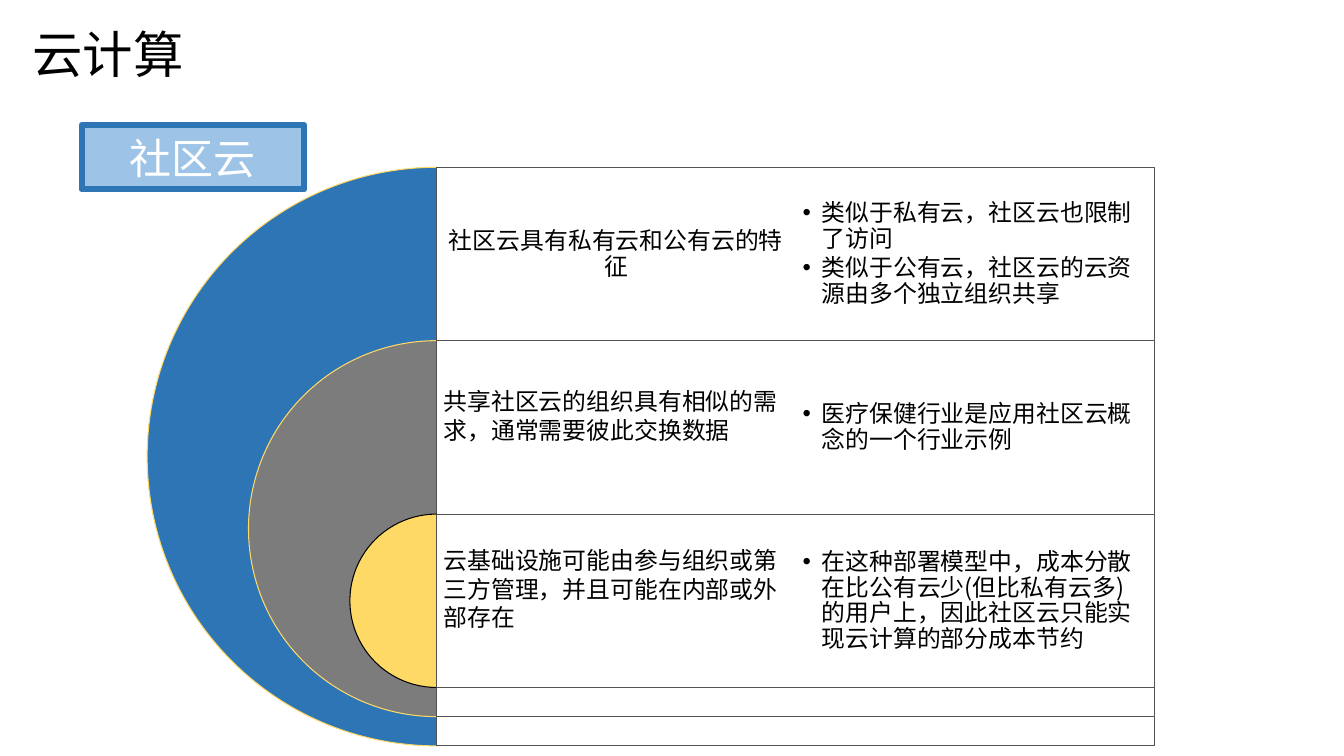
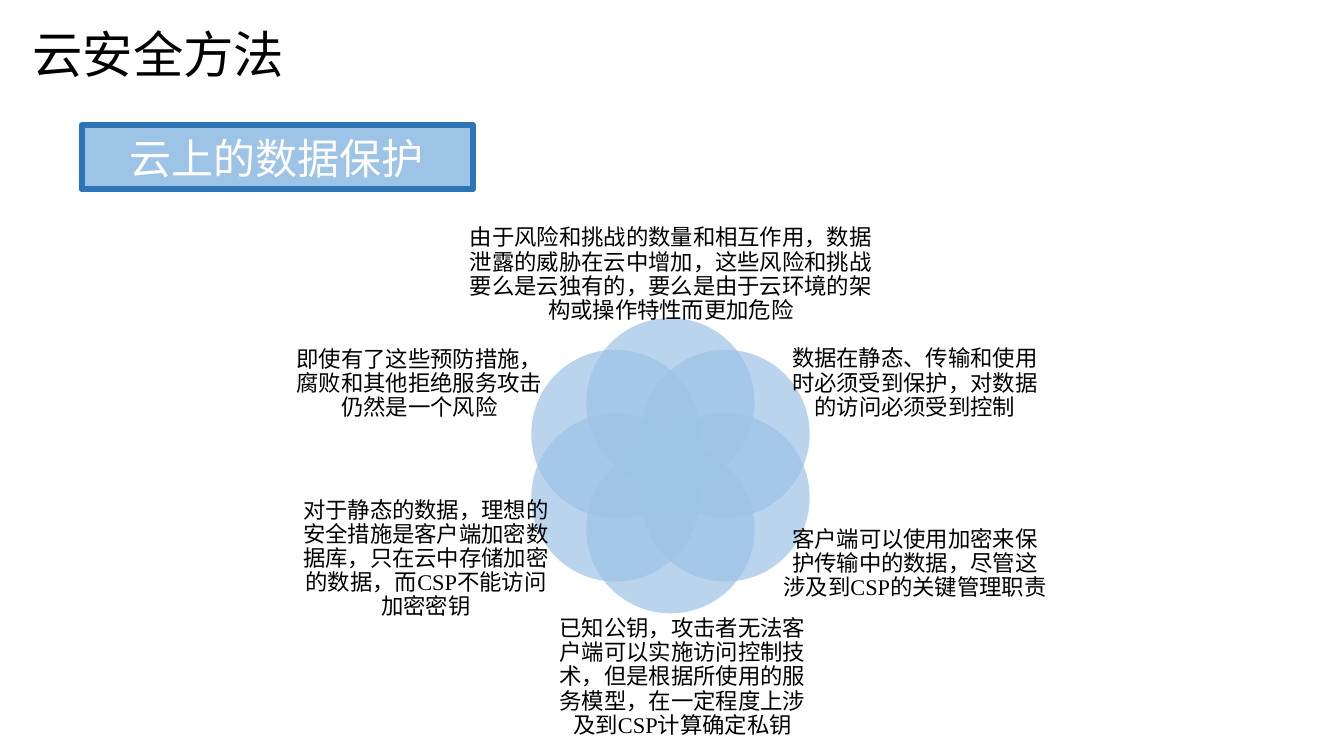
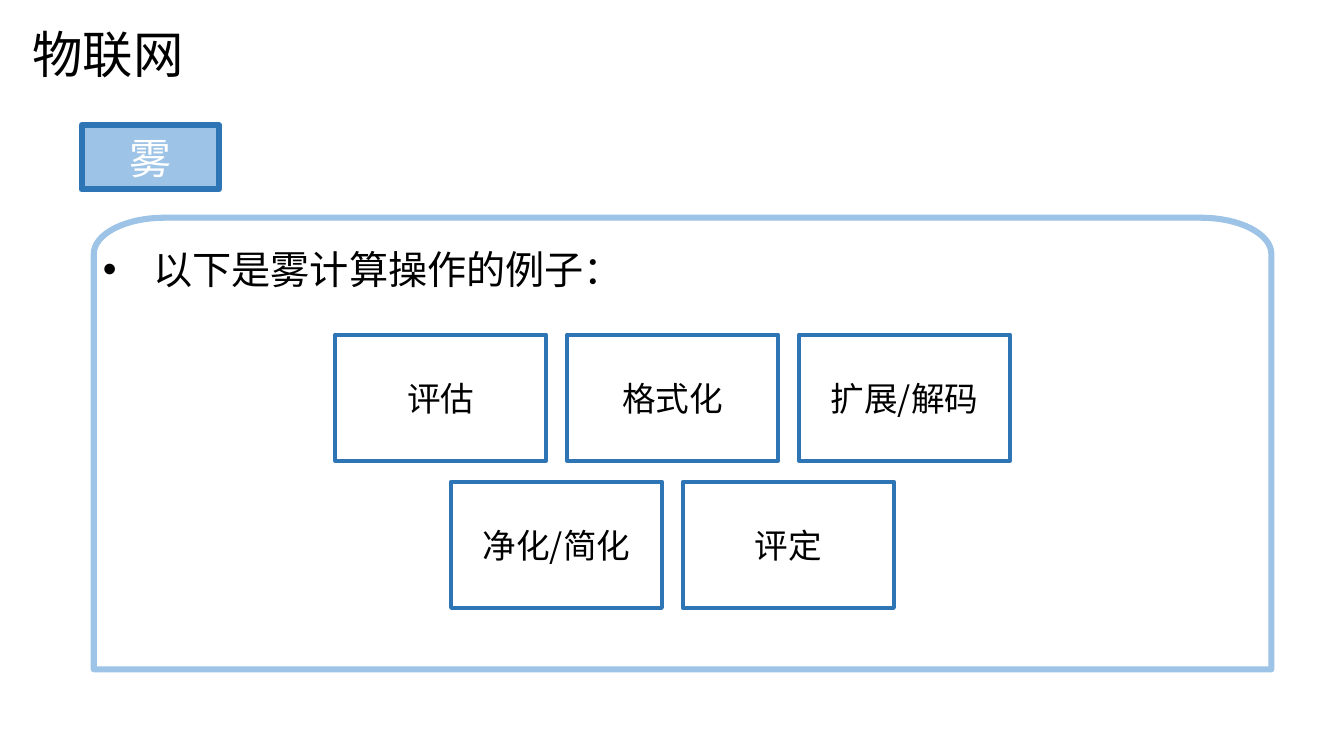
import math

import lxml.etree
import pptx
import pptx.dml.color
import pptx.enum.shapes
import pptx.enum.text
import pptx.oxml.ns
import pptx.util

Inches, Pt = pptx.util.Inches, pptx.util.Pt
RGBColor = pptx.dml.color.RGBColor
SHAPE = pptx.enum.shapes.MSO_SHAPE
ALIGN = pptx.enum.text.PP_ALIGN
ANCHOR = pptx.enum.text.MSO_ANCHOR
qn = pptx.oxml.ns.qn

# Shared look
BLACK = RGBColor(0x00, 0x00, 0x00)
WHITE = RGBColor(0xFF, 0xFF, 0xFF)
BLUE = RGBColor(0x2E, 0x75, 0xB6)
LIGHT_BLUE = RGBColor(0x9D, 0xC3, 0xE6)
GRAY = RGBColor(0x7C, 0x7C, 0x7C)
DARK_GRAY = RGBColor(0x52, 0x52, 0x52)
YELLOW = RGBColor(0xFF, 0xD9, 0x66)
SANS = "Noto Sans CJK SC"
SERIF = "Times New Roman"
TITLE_ONLY, TITLE_AND_BODY = 5, 1
TIGHT, LOOSE = 1.08, 1.2  # line pitch as a multiple of the text size


def apply(target, values):
    for name, value in values.items():
        setattr(target, name, value)


def place(shape, left, top, width, height):
    apply(shape, {"left": Inches(left), "top": Inches(top),
                  "width": Inches(width), "height": Inches(height)})


def set_bullet(para, indent):
    props = para._p.get_or_add_pPr()
    props.set("marL", str(Inches(indent)))
    props.set("indent", str(-Inches(indent)))
    lxml.etree.SubElement(props, qn("a:buFont")).set("typeface", "Arial")
    lxml.etree.SubElement(props, qn("a:buChar")).set("char", "•")


def write(shape, lines, size, font=SANS, color=BLACK, align=ALIGN.LEFT,
          anchor=ANCHOR.MIDDLE, insets=(0, 0, 0, 0), pitch=None,
          bullet=None, after=0):
    """Fill a shape with paragraphs; insets run left, top, right, bottom."""
    frame = shape.text_frame
    sides = ("margin_left", "margin_top", "margin_right", "margin_bottom")
    apply(frame, {"word_wrap": True, "vertical_anchor": anchor,
                  "auto_size": pptx.enum.text.MSO_AUTO_SIZE.NONE})
    apply(frame, {side: Inches(inset) for side, inset in zip(sides, insets)})
    for index, line in enumerate(lines):
        para = frame.add_paragraph() if index else frame.paragraphs[0]
        apply(para, {"alignment": align, "space_before": Pt(0),
                     "space_after": Pt(after if index < len(lines) - 1 else 0)})
        if pitch:
            para.line_spacing = Pt(round(size * pitch, 1))
        if bullet:
            set_bullet(para, bullet)
        span = para.add_run()
        span.text = line
        apply(span.font, {"size": Pt(size), "name": font, "bold": False})
        span.font.color.rgb = color
        east_asian = lxml.etree.SubElement(span._r.get_or_add_rPr(), qn("a:ea"))
        east_asian.set("typeface", SANS)


def paint(shape, fill=None, opacity=100, line=None, weight=0):
    shape.shadow.inherit = False
    if fill is None:
        shape.fill.background()
    else:
        shape.fill.solid()
        shape.fill.fore_color.rgb = fill
        if opacity < 100:
            tint = shape._element.spPr.find(".//" + qn("a:srgbClr"))
            alpha = lxml.etree.SubElement(tint, qn("a:alpha"))
            alpha.set("val", str(opacity * 1000))
    if line is None:
        shape.line.fill.background()
    else:
        shape.line.color.rgb = line
        shape.line.width = Pt(weight)


def add_figure(page, preset, area, **look):
    shape = page.shapes.add_shape(preset, *map(Inches, area))
    paint(shape, **look)
    return shape


def add_text(page, area, lines, size, **style):
    box = page.shapes.add_textbox(*map(Inches, area))
    write(box, lines, size, **style)


def add_page(deck, layout, title, tag, tag_width):
    """Start a slide with its title and the framed topic tag."""
    page = deck.slides.add_slide(deck.slide_layouts[layout])
    place(page.shapes.title, 0.21, 0, 5.91, 1.06)
    write(page.shapes.title, [title], 36, insets=(0.11, 0.06, 0.11, 0.06))
    label = add_figure(page, SHAPE.RECTANGLE, (0.81, 1.24, tag_width, 0.64),
                       fill=LIGHT_BLUE, line=BLUE, weight=4.33)
    write(label, [tag], 30, color=WHITE, insets=(0.47, 0, 0.3, 0), pitch=LOOSE)
    return page


# Slide 1: nested half circles, each with a statement and its details
def build_community_cloud(deck):
    page = add_page(deck, TITLE_ONLY, "云计算", "社区云", 2.21)
    left, top, row, column, shrink = 4.33, 1.66, 1.72, 3.56, 2.01
    centered = {"align": ALIGN.CENTER, "pitch": TIGHT,
                "insets": (0.07, 0.07, 0.07, 0.07)}
    raised = {"pitch": LOOSE, "insets": (0.07, 0.07, 0.07, 0.31)}
    rings = [
        (BLUE, YELLOW, centered, "社区云具有私有云和公有云的特征",
         ["类似于私有云，社区云也限制了访问",
          "类似于公有云，社区云的云资源由多个独立组织共享"]),
        (GRAY, YELLOW, raised, "共享社区云的组织具有相似的需求，通常需要彼此交换数据",
         ["医疗保健行业是应用社区云概念的一个行业示例"]),
        (YELLOW, BLACK, raised,
         "云基础设施可能由参与组织或第三方管理，并且可能在内部或外部存在",
         ["在这种部署模型中，成本分散在比公有云少(但比私有云多)的用户上，"
          "因此社区云只能实现云计算的部分成本节约"]),
    ]
    for index, (fill, outline, style, statement, details) in enumerate(rings):
        y = top + index * row
        size = 5.74 - index * shrink
        half = add_figure(page, SHAPE.PIE, (left - size / 2, y, size, size),
                          fill=fill, line=outline, weight=0.75)
        half.adjustments[0], half.adjustments[1] = 54, 162
        add_figure(page, SHAPE.RECTANGLE, (left, y, 2 * column, size),
                   fill=WHITE, opacity=90, line=DARK_GRAY, weight=0.5)
        add_text(page, (left, y, column, row), [statement], 17, **style)
        add_text(page, (left + column, y, column, row), details, 17,
                 insets=(0.07, 0.07, 0.07, 0.07), pitch=TIGHT,
                 bullet=0.19, after=2.5)


# Slide 2: six overlapping circles, clockwise from the top
def build_data_protection(deck):
    page = add_page(deck, TITLE_ONLY, "云安全方法", "云上的数据保护", 3.88)
    center_x, center_y, orbit, size = 6.65, 4.62, 0.63, 1.67
    petals = [
        ((4.64, 2.44, 4.03, 0.57),
         "由于风险和挑战的数量和相互作用，数据泄露的威胁在云中增加，这些风险和挑战"
         "要么是云独有的，要么是由于云环境的架构或操作特性而更加危险"),
        ((7.81, 3.18, 2.53, 1.25),
         "数据在静态、传输和使用时必须受到保护，对数据的访问必须受到控制"),
        ((7.75, 4.9, 2.65, 1.39),
         "客户端可以使用加密来保护传输中的数据，尽管这涉及到CSP的关键管理职责"),
        ((5.45, 6.15, 2.64, 1.14),
         "已知公钥，攻击者无法客户端可以实施访问控制技术，但是根据所使用的服务模型，"
         "在一定程度上涉及到CSP计算确定私钥"),
        ((2.97, 4.85, 2.51, 1.39),
         "对于静态的数据，理想的安全措施是客户端加密数据库，只在云中存储加密的数据，"
         "而CSP不能访问加密密钥"),
        ((2.87, 3.4, 2.58, 0.82),
         "即使有了这些预防措施，腐败和其他拒绝服务攻击仍然是一个风险"),
    ]
    for index, (area, text) in enumerate(petals):
        angle = math.tau * index / len(petals)
        x = center_x + orbit * math.sin(angle) - size / 2
        y = center_y - orbit * math.cos(angle) - size / 2
        add_figure(page, SHAPE.OVAL, (x, y, size, size),
                   fill=LIGHT_BLUE, opacity=70)
        add_text(page, area, [text], 16, font=SERIF, align=ALIGN.CENTER,
                 pitch=TIGHT)


# Slide 3: frame with rounded top corners around a grid of cards
def add_frame(page, left, top, width, height, radius_x, radius_y):
    right, bottom, steps = left + width, top + height, 16
    quarter = [math.pi / 2 * step / steps for step in range(steps + 1)]
    left_arc = [(left + radius_x * (1 - math.cos(angle)),
                 top + radius_y * (1 - math.sin(angle))) for angle in quarter]
    right_arc = [(left + right - x, y) for x, y in reversed(left_arc)]
    outline = [(left, bottom)] + left_arc + right_arc + [(right, bottom)]
    points = [(Inches(x), Inches(y)) for x, y in outline]
    builder = page.shapes.build_freeform(*points[0])
    builder.add_line_segments(points[1:], close=True)
    paint(builder.convert_to_shape(), line=LIGHT_BLUE, weight=4.33)


def build_fog(deck):
    page = add_page(deck, TITLE_AND_BODY, "物联网", "雾", 1.36)
    add_frame(page, 0.93, 2.16, 11.68, 4.48, 0.7, 0.36)
    body = page.placeholders[1]
    place(body, 0.93, 2.16, 11.68, 0.9)
    write(body, ["以下是雾计算操作的例子："], 28, font=SERIF, anchor=ANCHOR.TOP,
          insets=(0.09, 0.14, 0.08, 0.03), pitch=1.54, bullet=0.5)
    rows = [
        [("评估", SERIF), ("格式化", SERIF), ("扩展/解码", SANS)],
        [("净化/简化", SANS), ("评定", SANS)],
    ]
    width, height, gap, middle, top = 2.09, 1.25, 0.21, 6.67, 3.32
    for row_index, cards in enumerate(rows):
        start = middle - (len(cards) * (width + gap) - gap) / 2
        y = top + row_index * (height + gap)
        for index, (label, font) in enumerate(cards):
            card = add_figure(page, SHAPE.RECTANGLE,
                              (start + index * (width + gap), y, width, height),
                              line=BLUE, weight=3)
            write(card, [label], 24, font=font, align=ALIGN.CENTER,
                  insets=(0.1, 0.1, 0.1, 0.1), pitch=LOOSE)


def main():
    deck = pptx.Presentation()
    apply(deck, {"slide_width": Inches(13.33), "slide_height": Inches(7.5)})
    build_community_cloud(deck)
    build_data_protection(deck)
    build_fog(deck)
    deck.save("out.pptx")


if __name__ == "__main__":
    main()
